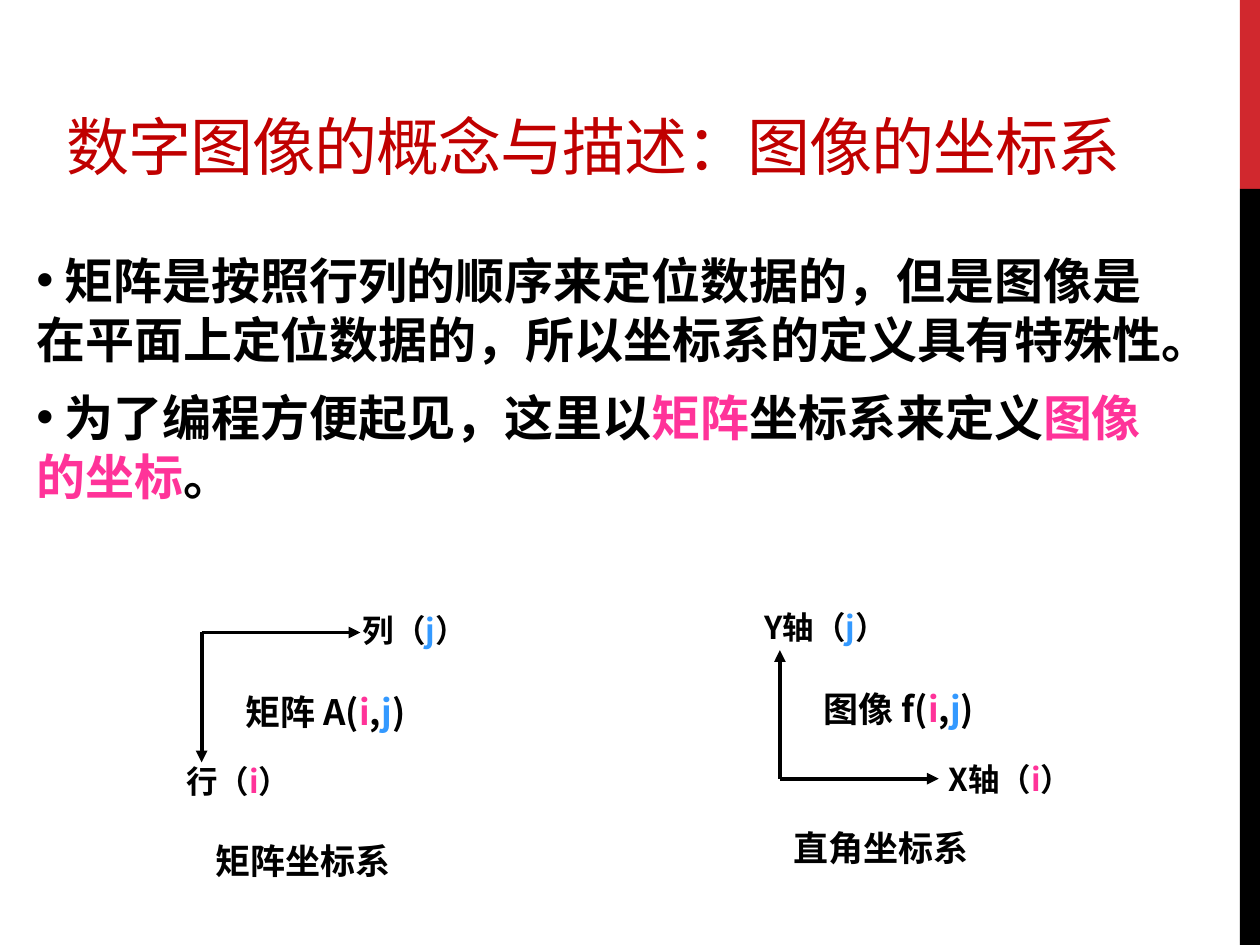
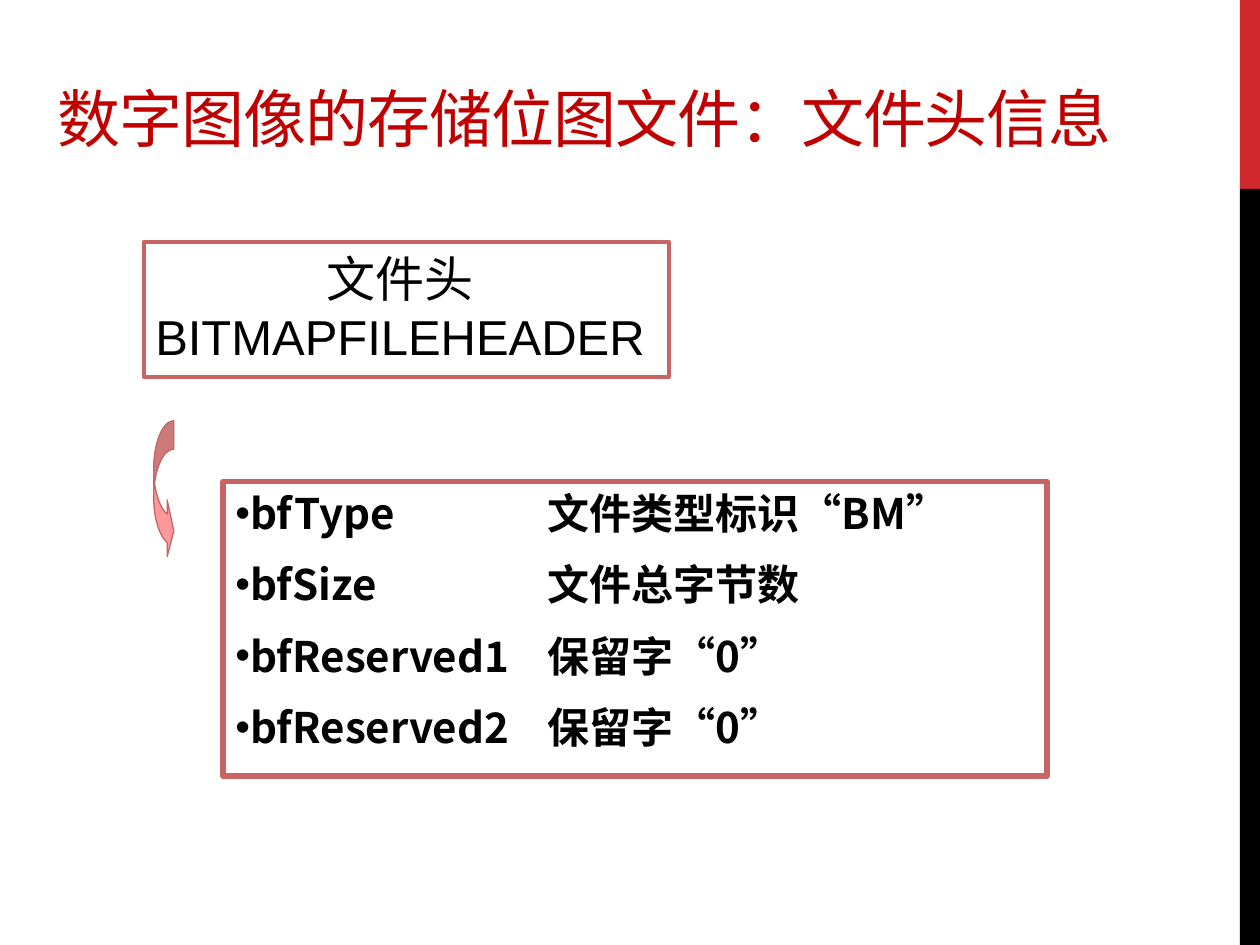
"""Builds two slides on image coordinate systems and the bitmap file header."""
from dataclasses import dataclass

from lxml import etree
from pptx import Presentation, util as u
from pptx.dml.color import RGBColor
from pptx.enum import shapes, text
from pptx.oxml.ns import qn

COLUMNS, ROWS = 10, 7.5
WIDTH, HEIGHT = u.Inches(10), u.Inches(7.5)
CJK, LATIN = "Noto Sans CJK SC", "Arial"
BLACK, WHITE, PINK, BLUE = "000000", "FFFFFF", "FF3399", "3399FF"
TITLE_RED, BAND_RED, FRAME_RED, ARROW_PINK = "C00000", "D1282E", "C86464", "FF9999"
TITLE_ONLY = 5
Span = tuple[str, str]


@dataclass(frozen=True)
class Box:
    """An area in grid columns and rows."""
    col: float
    row: float
    cols: float
    rows: float

    def emu(self) -> tuple[int, int, int, int]:
        """Return left, top, width and height."""
        return across(self.col), down(self.row), across(self.cols), down(self.rows)


@dataclass(frozen=True)
class Style:
    """The look of a block of text."""
    size: float
    bold: bool = True
    font: str = CJK
    bullet: bool = False
    before: float = 0
    after: float = 0
    tab: float = 0
    align: text.PP_ALIGN = text.PP_ALIGN.LEFT


@dataclass(frozen=True)
class Label:
    """A piece of coloured text at a grid position."""
    box: Box
    spans: tuple[Span, ...]
    style: Style


@dataclass(frozen=True)
class Arrow:
    """A straight arrow from one grid point to another."""
    start: tuple[float, float]
    end: tuple[float, float]
    headed: bool = True


@dataclass(frozen=True)
class Field:
    """A member of the file header and its meaning."""
    name: str
    meaning: str


BODY = Style(28, bullet=True, before=5, after=6)
AXIS, CAPTION = Style(18), Style(20)
HEADER = Style(28, bold=False, font=LATIN, align=text.PP_ALIGN.CENTER)
FIELD = Style(24, bullet=True, before=12, tab=2.48)

BANDS = ((Box(9.84, 0, 0.16, 1.5), BAND_RED), (Box(9.84, 1.5, 0.16, 6), BLACK))

POINTS = (
    ((" 矩阵是按照行列的顺序来定位数据的，但是图像是在平面上定位数据的，所以坐标系的定义具有特殊性。", BLACK),),
    ((" 为了编程方便起见，这里以", BLACK), ("矩阵", PINK), ("坐标系来定义", BLACK),
     ("图像的坐标", PINK), ("。", BLACK)),
)
I, J = ("i", PINK), ("j", BLUE)
CLOSE = ("）", BLACK)


def indexed(name: str) -> tuple[Span, ...]:
    """Return the spans of a function of i and j."""
    return (name + "(", BLACK), I, (",", BLACK), J, (")", BLACK)


LABELS = (
    Label(Box(1.38, 6, 1.1, 0.4), (("行（", BLACK), I, CLOSE), AXIS),
    Label(Box(2.78, 4.8, 1.1, 0.4), (("列（", BLACK), J, CLOSE), AXIS),
    Label(Box(1.85, 5.43, 2.13, 0.43), indexed("矩阵 A"), CAPTION),
    Label(Box(1.61, 6.61, 2.13, 0.43), (("矩阵坐标系", BLACK),), CAPTION),
    Label(Box(7.43, 5.98, 1.42, 0.4), (("X轴（", BLACK), I, CLOSE), AXIS),
    Label(Box(5.97, 4.78, 1.57, 0.4), (("Y轴（", BLACK), J, CLOSE), AXIS),
    Label(Box(6.44, 5.41, 2.13, 0.43), indexed("图像 f"), CAPTION),
    Label(Box(6.2, 6.51, 2.13, 0.43), (("直角坐标系", BLACK),), CAPTION),
)
AXES = (
    Arrow((1.6, 5.02), (2.86, 5.02)),
    Arrow((1.6, 5.02), (1.6, 6.05)),
    Arrow((6.19, 6.18), (7.45, 6.18)),
    Arrow((6.19, 6.18), (6.19, 5.16)),
)
FIELDS = (
    Field("bfType", "文件类型标识“BM”"),
    Field("bfSize", "文件总字节数"),
    Field("bfReserved1", "保留字“0”"),
    Field("bfReserved2", "保留字“0”"),
)


def across(cols: float) -> int:
    """Convert grid columns to a length."""
    return round(WIDTH * cols / COLUMNS)


def down(rows: float) -> int:
    """Convert grid rows to a length."""
    return round(HEIGHT * rows / ROWS)


def paint(fmt, colour: str) -> None:
    """Give a fill or a font colour a solid hex colour."""
    if hasattr(fmt, "solid"):
        fmt.solid()
        fmt = fmt.fore_color
    fmt.rgb = RGBColor.from_string(colour)


def format_run(r, style: Style, colour: str) -> None:
    """Apply size, weight, fonts and colour to a run."""
    r.font.size = u.Pt(style.size)
    r.font.bold = style.bold
    r.font.name = style.font
    paint(r.font.color, colour)
    r.font.language_id
    props = r.font._element
    props.set("lang", "zh-CN")
    latin = props.find(qn("a:latin"))
    ea = etree.Element(qn("a:ea"), typeface=CJK)
    latin.addnext(ea)


def format_paragraph(p, style: Style) -> None:
    """Apply alignment, spacing, bullet and tab stop to a paragraph."""
    p.alignment = style.align
    p.space_before = u.Pt(style.before)
    p.space_after = u.Pt(style.after)
    props = p._p.get_or_add_pPr()
    if style.bullet:
        props.set("marL", "0")
        props.set("indent", "0")
        etree.SubElement(props, qn("a:buFont"), typeface=LATIN)
        etree.SubElement(props, qn("a:buChar"), char="•")
    if style.tab:
        tabs = etree.SubElement(props, qn("a:tabLst"))
        etree.SubElement(tabs, qn("a:tab"), pos=str(across(style.tab)), algn="l")


def write(tf, paragraphs: tuple[tuple[Span, ...], ...], style: Style) -> None:
    """Fill a text frame with paragraphs of coloured spans."""
    tf.word_wrap = True
    tf.vertical_anchor = text.MSO_ANCHOR.TOP
    for n, spans in enumerate(paragraphs):
        p = tf.paragraphs[0] if n == 0 else tf.add_paragraph()
        format_paragraph(p, style)
        for words, colour in spans:
            r = p.add_run()
            r.text = words
            format_run(r, style, colour)


def add_text(s, box: Box, paragraphs: tuple[tuple[Span, ...], ...], style: Style) -> None:
    """Add a wrapping text box."""
    write(s.shapes.add_textbox(*box.emu()).text_frame, paragraphs, style)


def add_shape(s, box: Box, fill: str, line: str = "", weight: float = 0,
              kind: shapes.MSO_SHAPE = shapes.MSO_SHAPE.RECTANGLE):
    """Add a flat preset shape, outlined if a line colour is given."""
    sp = s.shapes.add_shape(kind, *box.emu())
    sp.shadow.inherit = False
    paint(sp.fill, fill)
    if line:
        paint(sp.line.fill, line)
        sp.line.width = u.Pt(weight)
    else:
        sp.line.fill.background()
    return sp


def add_arrow(s, arrow: Arrow) -> None:
    """Add a black straight arrow."""
    (x1, y1), (x2, y2) = arrow.start, arrow.end
    sp = s.shapes.add_connector(shapes.MSO_CONNECTOR.STRAIGHT,
                                across(x1), down(y1), across(x2), down(y2))
    paint(sp.line.fill, BLACK)
    sp.line.width = u.Pt(2.25)
    if arrow.headed:
        etree.SubElement(sp.line._get_or_add_ln(), qn("a:tailEnd"), type="triangle")
    etree.SubElement(sp._element.spPr, qn("a:effectLst"))


def add_slide(prs, title: str, box: Box):
    """Add a slide with the side bands and a red title."""
    s = prs.slides.add_slide(prs.slide_layouts[TITLE_ONLY])
    for band, colour in BANDS:
        add_shape(s, band, colour)
    sp = s.shapes.title
    sp.left, sp.top, sp.width, sp.height = box.emu()
    tf = sp.text_frame
    tf.text = title
    tf.word_wrap = True
    tf.auto_size = text.MSO_AUTO_SIZE.NONE
    tf.vertical_anchor = text.MSO_ANCHOR.BOTTOM
    p = tf.paragraphs[0]
    p.alignment = text.PP_ALIGN.LEFT
    r = p.runs[0]
    format_run(r, Style(36, bold=False), TITLE_RED)
    r.font._element.set("spc", "-60")
    return s


def build_coordinates(prs) -> None:
    """Build the slide comparing matrix and Cartesian axes."""
    s = add_slide(prs, "数字图像的概念与描述：图像的坐标系", Box(0.43, 0, 9.06, 1.5))
    add_text(s, Box(0.19, 1.94, 9.3, 2.65), POINTS, BODY)
    for arrow in AXES:
        add_arrow(s, arrow)
    for label in LABELS:
        add_text(s, label.box, (label.spans,), label.style)


def build_file_header(prs) -> None:
    """Build the slide listing the bitmap file header fields."""
    s = add_slide(prs, "数字图像的存储位图文件：文件头信息", Box(0.36, 0.45, 9.17, 0.83))
    tf = add_shape(s, Box(1.14, 1.92, 4.17, 1.07), WHITE, FRAME_RED, 2.25).text_frame
    tf.margin_left, tf.margin_right = across(0.05), across(0.15)
    write(tf, ((("文件头", BLACK),), (("BITMAPFILEHEADER", BLACK),)), HEADER)
    frame = add_shape(s, Box(1.77, 3.82, 6.54, 2.34), WHITE, FRAME_RED, 3)
    rows = tuple(((f"{f.name}\t{f.meaning}", BLACK),) for f in FIELDS)
    write(frame.text_frame, rows, FIELD)
    sp = add_shape(s, Box(1.22, 3.34, 0.16, 1.1), ARROW_PINK, FRAME_RED, 0.75,
                   shapes.MSO_SHAPE.CURVED_RIGHT_ARROW)
    for n, value in enumerate((1.41, 2.82, 0.33)):
        sp.adjustments[n] = value


def main() -> None:
    """Build and save the presentation."""
    prs = Presentation()
    prs.slide_width, prs.slide_height = WIDTH, HEIGHT
    build_coordinates(prs)
    build_file_header(prs)
    prs.save("out.pptx")


if __name__ == "__main__":
    main()
